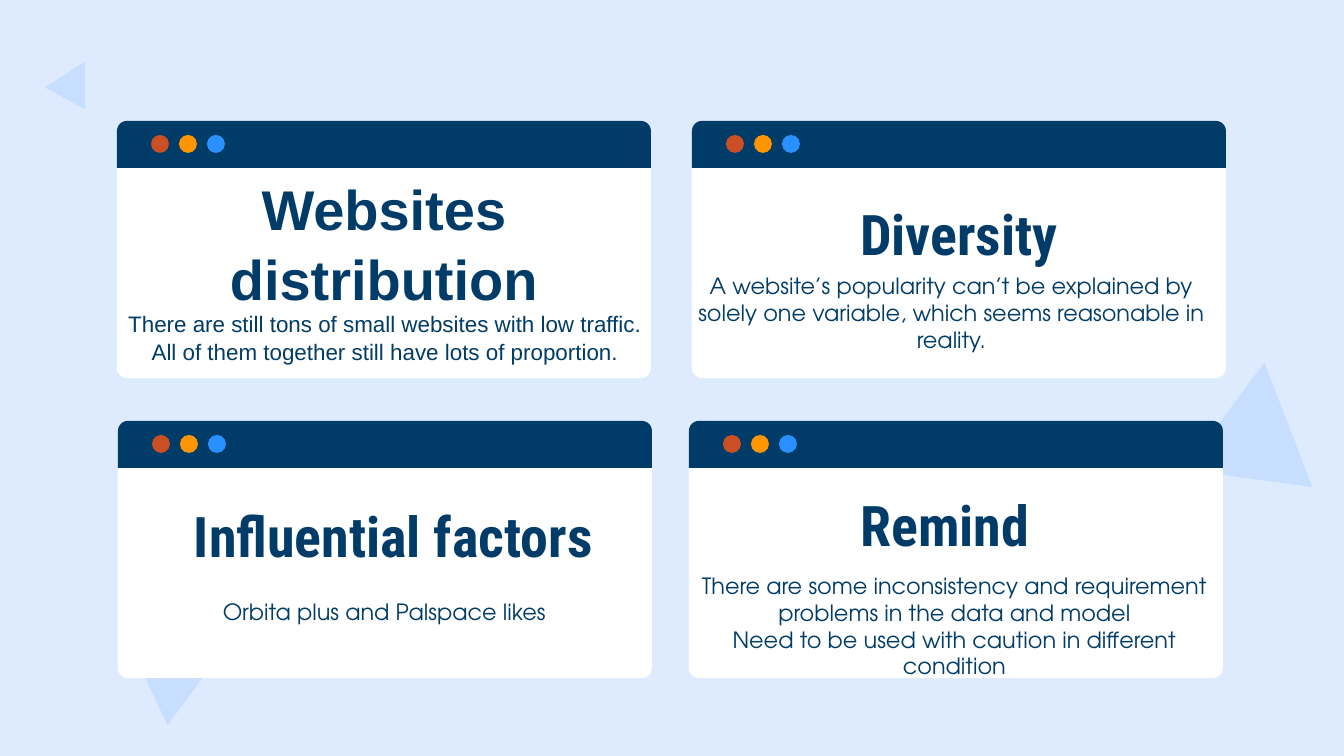
from dataclasses import dataclass

from pptx import Presentation
from pptx.dml.color import RGBColor
from pptx.enum.shapes import MSO_SHAPE
from pptx.enum.text import MSO_ANCHOR, PP_ALIGN
from pptx.shapes.autoshape import Shape
from pptx.slide import Slide
from pptx.text.text import TextFrame
from pptx.util import Emu, Pt

TRIANGLE = MSO_SHAPE.ISOSCELES_TRIANGLE
ROUNDED_PAIR = MSO_SHAPE.ROUND_2_SAME_RECTANGLE
OVAL = MSO_SHAPE.OVAL
TOP, MIDDLE = MSO_ANCHOR.TOP, MSO_ANCHOR.MIDDLE
CENTER = PP_ALIGN.CENTER

SLIDE_WIDTH, SLIDE_HEIGHT = 1344, 756
EMU_PER_PX = 9144000 / SLIDE_WIDTH
PANEL_WIDTH, HEADER_HEIGHT, BODY_HEIGHT, RADIUS = 534, 47, 210, 10
DOT_SIZE, DOT_LEFT, DOT_TOP, DOT_PITCH = 18, 34, 14, 28
INSET = 13


@dataclass(frozen=True)
class Theme:
    background: str = "DEEBFF"
    accent: str = "C8DEFF"
    panel: str = "FFFFFF"
    navy: str = "003C67"
    dots: tuple[str, ...] = ("CA4F24", "FF9500", "2A90FF")
    title_size: int = 30
    text_size: int = 12
    title_font: str = "Roboto Condensed"
    text_font: str = "TeX Gyre Adventor"
    plain_font: str = "Arial"
    plain_spacing: float = 1.04


THEME = Theme()


@dataclass(frozen=True)
class Box:
    left: int
    top: int
    width: int
    height: int


@dataclass(frozen=True)
class Triangle:
    box: Box
    rotation: float


@dataclass(frozen=True)
class Panel:
    left: int
    top: int
    title: str
    title_box: Box
    lines: tuple[str, ...]
    text_box: Box
    title_font: str = THEME.title_font
    text_font: str = THEME.text_font


TRIANGLES = (
    Triangle(Box(116, 624, 90, 82), 306.1),
    Triangle(Box(52, 59, 46, 42), 28.5),
    Triangle(Box(1192, 362, 129, 117), 7.8),
)

PANELS = (
    Panel(117, 121, "Websites distribution", Box(117, 174, 534, 136),
          ("There are still tons of small websites with low traffic. "
           "All of them together still have lots of proportion.",),
          Box(113, 296, 544, 82), THEME.plain_font, THEME.plain_font),
    Panel(118, 421, "Influential factors", Box(105, 469, 577, 133),
          ("Orbita plus and Palspace likes",), Box(105, 585, 559, 60)),
    Panel(689, 421, "Remind", Box(732, 444, 426, 161),
          ("There are some inconsistency and requirement problems in the data and model",
           "Need to be used with caution in different condition"),
          Box(675, 559, 559, 60)),
    Panel(692, 121, "Diversity", Box(746, 167, 426, 133),
          ("A website’s popularity can’t be explained by solely one variable, "
           "which seems reasonable in reality.",),
          Box(672, 259, 559, 60)),
)


def px(length: int) -> Emu:
    return Emu(round(length * EMU_PER_PX))


def place(box: Box) -> tuple[Emu, ...]:
    return px(box.left), px(box.top), px(box.width), px(box.height)


def add_filled(slide: Slide, kind: MSO_SHAPE, box: Box, color: str) -> Shape:
    shape = slide.shapes.add_shape(kind, *place(box))
    shape.shadow.inherit = False
    shape.fill.solid()
    shape.fill.fore_color.rgb = RGBColor.from_string(color)
    shape.line.fill.background()
    return shape


def add_triangle(slide: Slide, triangle: Triangle) -> None:
    shape = add_filled(slide, TRIANGLE, triangle.box, THEME.accent)
    shape.rotation = triangle.rotation


def add_window(slide: Slide, panel: Panel) -> None:
    body = add_filled(slide, ROUNDED_PAIR,
                      Box(panel.left, panel.top + HEADER_HEIGHT, PANEL_WIDTH, BODY_HEIGHT),
                      THEME.panel)
    body.adjustments[0] = 0
    body.adjustments[1] = RADIUS / BODY_HEIGHT
    header = add_filled(slide, ROUNDED_PAIR,
                        Box(panel.left, panel.top, PANEL_WIDTH, HEADER_HEIGHT), THEME.navy)
    header.adjustments[0] = RADIUS / HEADER_HEIGHT
    for index, color in enumerate(THEME.dots):
        left = panel.left + DOT_LEFT + index * DOT_PITCH
        add_filled(slide, OVAL, Box(left, panel.top + DOT_TOP, DOT_SIZE, DOT_SIZE), color)


def add_frame(slide: Slide, box: Box, anchor: MSO_ANCHOR, vertical_inset: int) -> TextFrame:
    frame = slide.shapes.add_textbox(*place(box)).text_frame
    frame.word_wrap = True
    frame.vertical_anchor = anchor
    frame.margin_left = frame.margin_right = px(INSET)
    frame.margin_top = frame.margin_bottom = px(vertical_inset)
    return frame


def write(frame: TextFrame, lines: tuple[str, ...], font: str, size: int, bold: bool) -> None:
    frame.text = "\n".join(lines)
    for paragraph in frame.paragraphs:
        paragraph.alignment = CENTER
        if font == THEME.plain_font:
            paragraph.line_spacing = THEME.plain_spacing
        paragraph.font.name = font
        paragraph.font.size = Pt(size)
        paragraph.font.bold = bold
        paragraph.font.color.rgb = RGBColor.from_string(THEME.navy)


def add_panel(slide: Slide, panel: Panel) -> None:
    add_window(slide, panel)
    title = add_frame(slide, panel.title_box, MIDDLE, 0)
    write(title, (panel.title,), panel.title_font, THEME.title_size, True)
    text = add_frame(slide, panel.text_box, TOP, INSET)
    write(text, panel.lines, panel.text_font, THEME.text_size, False)


def main() -> None:
    presentation = Presentation()
    presentation.slide_width = px(SLIDE_WIDTH)
    presentation.slide_height = px(SLIDE_HEIGHT)
    slide = presentation.slides.add_slide(presentation.slide_layouts[6])
    slide.background.fill.solid()
    slide.background.fill.fore_color.rgb = RGBColor.from_string(THEME.background)
    for triangle in TRIANGLES:
        add_triangle(slide, triangle)
    for panel in PANELS:
        add_panel(slide, panel)
    presentation.save("out.pptx")


if __name__ == "__main__":
    main()
